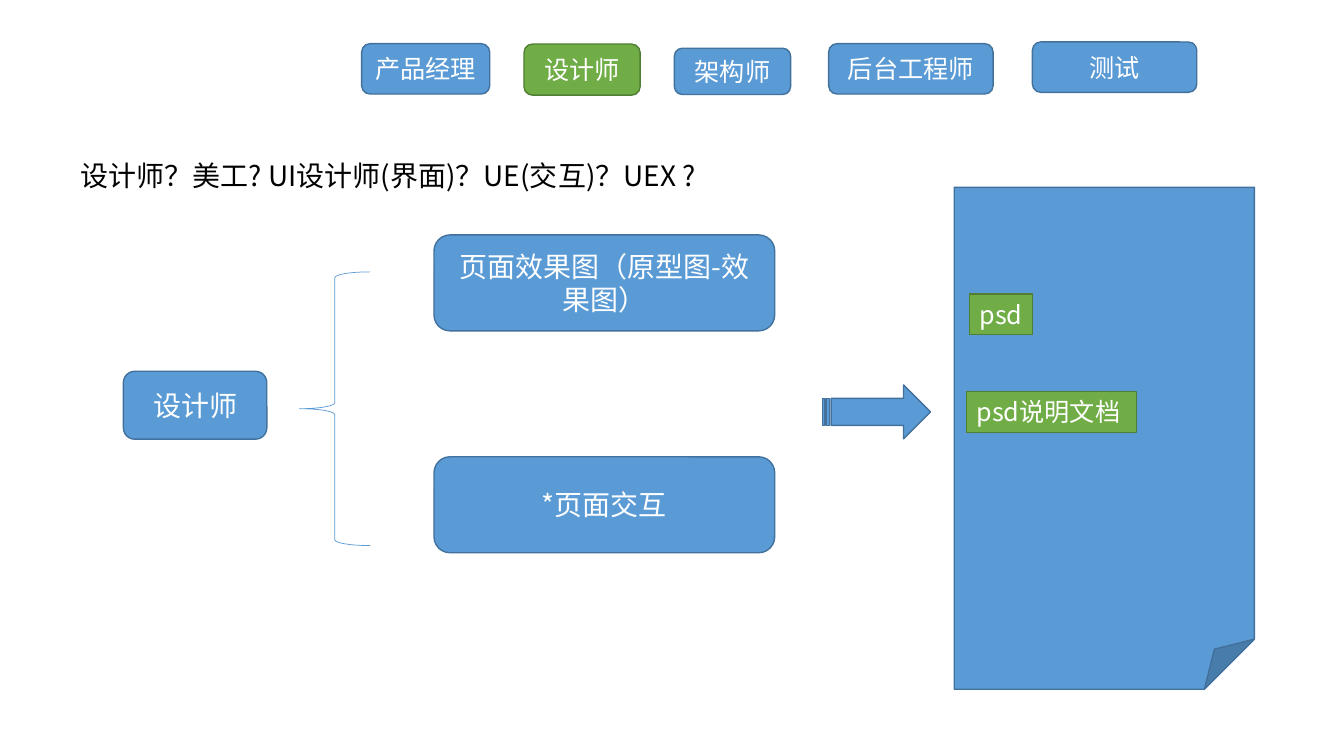
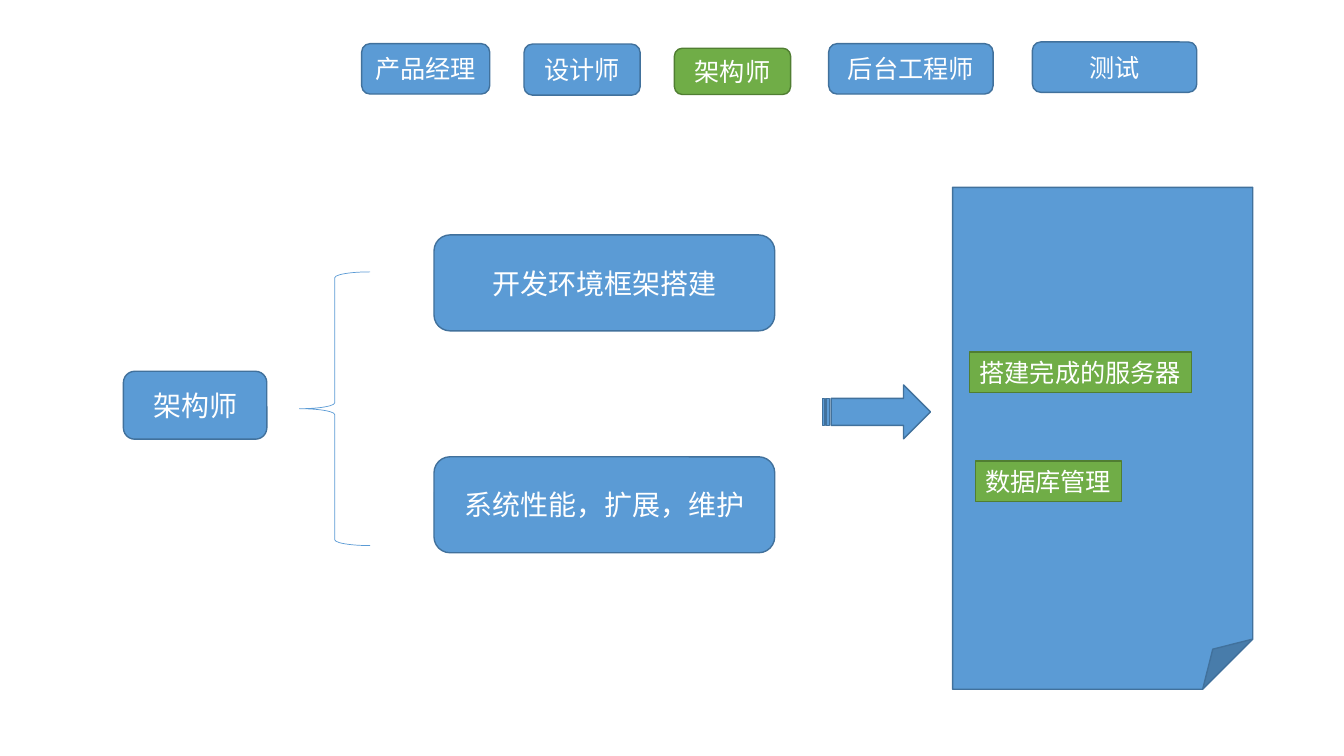
"""Build two role slides: a row of jobs, a task brace and a result sheet."""
from dataclasses import dataclass

from lxml.etree import SubElement
from pptx import Presentation
from pptx.dml.color import RGBColor
from pptx.enum.shapes import MSO_SHAPE
from pptx.enum.text import MSO_ANCHOR, MSO_AUTO_SIZE, PP_ALIGN
from pptx.oxml.ns import qn
from pptx.shapes.autoshape import Shape
from pptx.slide import Slide
from pptx.util import Pt

PILL = MSO_SHAPE.FLOWCHART_ALTERNATE_PROCESS
ROUND = MSO_SHAPE.ROUNDED_RECTANGLE
RECT = MSO_SHAPE.RECTANGLE
BRACE = MSO_SHAPE.LEFT_BRACE
ARROW = MSO_SHAPE.STRIPED_RIGHT_ARROW
SHEET = MSO_SHAPE.FOLDED_CORNER
TOP, MIDDLE = MSO_ANCHOR.TOP, MSO_ANCHOR.MIDDLE
FIXED = MSO_AUTO_SIZE.NONE
LEFT, CENTER = PP_ALIGN.LEFT, PP_ALIGN.CENTER

FONT = "Noto Sans CJK SC"
WHITE, BLACK = "FFFFFF", "000000"
BLUE = ("5B9BD5", "41719C")
GREEN = ("70AD47", "507E32")
TITLE_ONLY, BLANK = 5, 6

BOX = {
    "margin_left": Pt(7.2), "margin_right": Pt(7.2),
    "margin_top": Pt(3.6), "margin_bottom": Pt(3.6),
    "vertical_anchor": MIDDLE, "word_wrap": True, "auto_size": FIXED,
}
HEAD = {**BOX, "vertical_anchor": TOP}
TAG = {**HEAD, "margin_right": Pt(0)}


@dataclass(frozen=True)
class Area:
    """A place on the slide, in points."""
    left: float
    top: float
    width: float
    height: float


@dataclass(frozen=True)
class Label:
    """A text with its place."""
    text: str
    area: Area


@dataclass(frozen=True)
class Page:
    """What differs from slide to slide."""
    role: str
    tasks: tuple[str, str]
    sheet: float
    tags: tuple[Label, ...]
    title: str = ""


JOBS = (
    Label("产品经理", Area(258.5, 31.2, 91.5, 36)),
    Label("设计师", Area(374.5, 31.5, 83, 36.5)),
    Label("架构师", Area(482, 34.5, 83, 33)),
    Label("后台工程师", Area(592.2, 31.2, 117.5, 36)),
    Label("测试", Area(737.8, 30, 117.5, 36)),
)

PAGES = (
    Page("设计师", ("页面效果图（原型图-效果图）", "*页面交互"), 682,
         (Label("psd", Area(693, 210, 45, 29)),
          Label("psd说明文档", Area(690.8, 279.8, 121.5, 29))),
         "设计师？美工? UI设计师(界面)？UE(交互)？UEX ?"),
    Page("架构师", ("开发环境框架搭建", "系统性能，扩展，维护"), 680.8,
         (Label("搭建完成的服务器", Area(693, 251.5, 158.5, 29)),
          Label("数据库管理", Area(697, 329.2, 104.5, 29)))),
)


def paint(target: object, code: str) -> None:
    """Give a fill, line fill or font fill a solid colour."""
    target.solid()
    target.fore_color.rgb = RGBColor.from_string(code)


def place(shape: Shape, area: Area) -> None:
    """Move and size a shape."""
    for name in ("left", "top", "width", "height"):
        setattr(shape, name, Pt(getattr(area, name)))


def write(shape: Shape, text: str, size: float, form: dict,
          align: PP_ALIGN = CENTER, code: str = WHITE) -> None:
    """Put one formatted paragraph into a shape."""
    frame = shape.text_frame
    for name, value in form.items():
        setattr(frame, name, value)
    para = frame.paragraphs[0]
    para.alignment = align
    run = para.add_run()
    run.text = text
    for name, value in {"size": Pt(size), "name": FONT}.items():
        setattr(run.font, name, value)
    paint(run.font.fill, code)
    SubElement(run._r.get_or_add_rPr(), qn("a:ea"), typeface=FONT)


def draw(slide: Slide, kind: MSO_SHAPE, area: Area,
         tone: tuple[str, str] = BLUE) -> Shape:
    """Add a filled and outlined preset shape."""
    shape = slide.shapes.add_shape(kind, 0, 0, 0, 0)
    place(shape, area)
    shape.shadow.inherit = False
    paint(shape.fill, tone[0])
    paint(shape.line.fill, tone[1])
    shape.line.width = Pt(1)
    return shape


def brace(slide: Slide) -> None:
    """Draw the thin brace that opens to the tasks."""
    shape = draw(slide, BRACE, Area(214, 194.2, 50.5, 195.5), (WHITE, BLUE[0]))
    shape.fill.background()
    shape.line.width = Pt(0.5)


def build(deck: Presentation, page: Page) -> None:
    """Add one slide for a role."""
    layout = deck.slide_layouts[TITLE_ONLY if page.title else BLANK]
    slide = deck.slides.add_slide(layout)
    if page.title:
        title = slide.shapes.title
        place(title, Area(50.2, 109.8, 504, 55))
        write(title, page.title, 20, HEAD, LEFT, BLACK)
    for job in JOBS:
        tone = GREEN if job.text == page.role else BLUE
        write(draw(slide, PILL, job.area, tone), job.text, 18, BOX)
    write(draw(slide, PILL, Area(88.2, 265.2, 102.5, 48.5)), page.role, 20, BOX)
    brace(slide)
    for row, task in enumerate(page.tasks):
        area = Area(310.2, 167.8 + row * 158.5, 243.5, 68.5)
        write(draw(slide, ROUND, area), task, 20, BOX)
    draw(slide, ARROW, Area(588, 275, 77, 38.5))
    draw(slide, SHEET, Area(page.sheet, 133.8, 214.5, 358.5))
    for tag in page.tags:
        write(draw(slide, RECT, tag.area, GREEN), tag.text, 18, TAG, LEFT)


def main() -> None:
    """Build and save the deck."""
    deck = Presentation()
    deck.slide_width, deck.slide_height = Pt(960.5), Pt(540)
    for page in PAGES:
        build(deck, page)
    deck.save("out.pptx")


if __name__ == "__main__":
    main()
